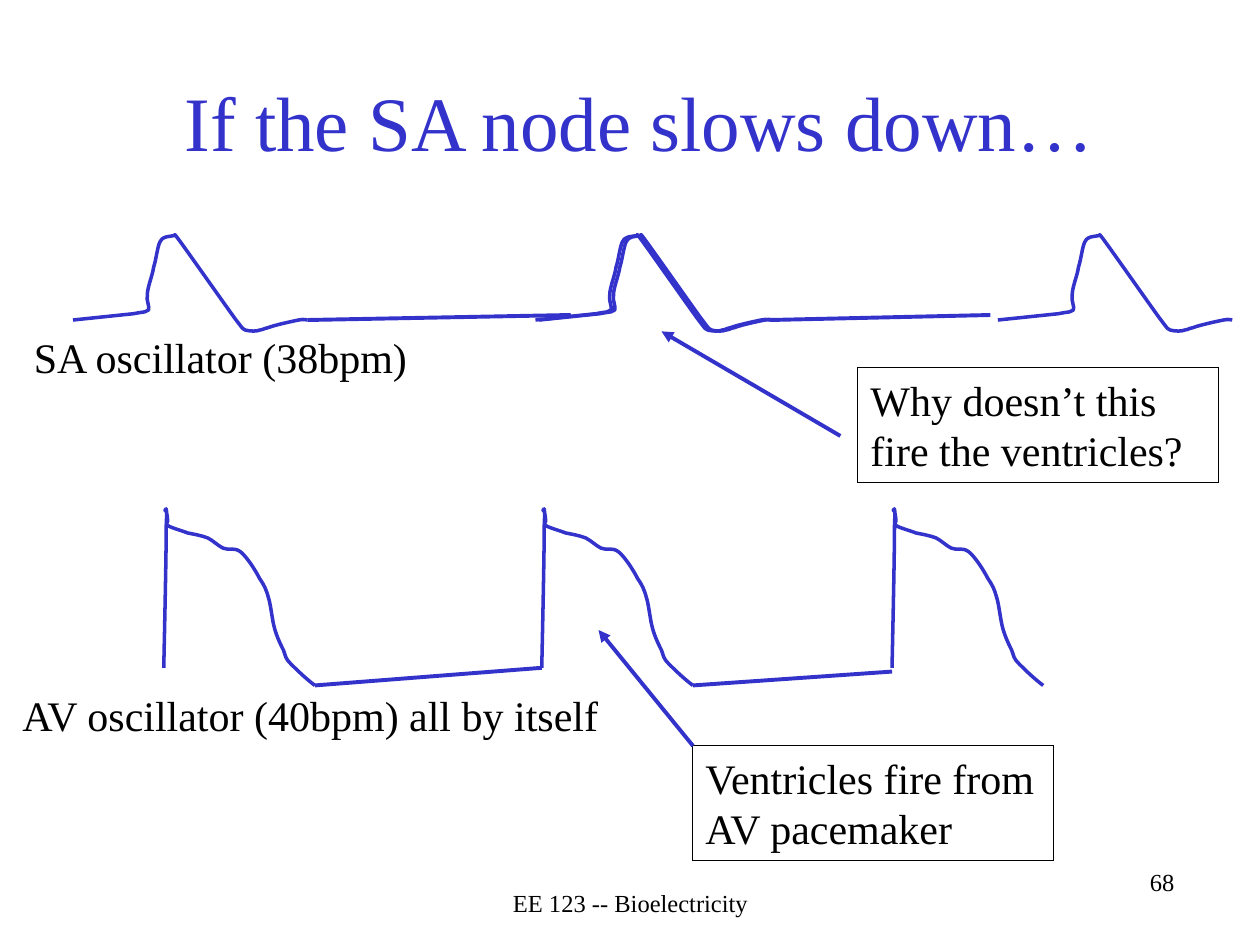
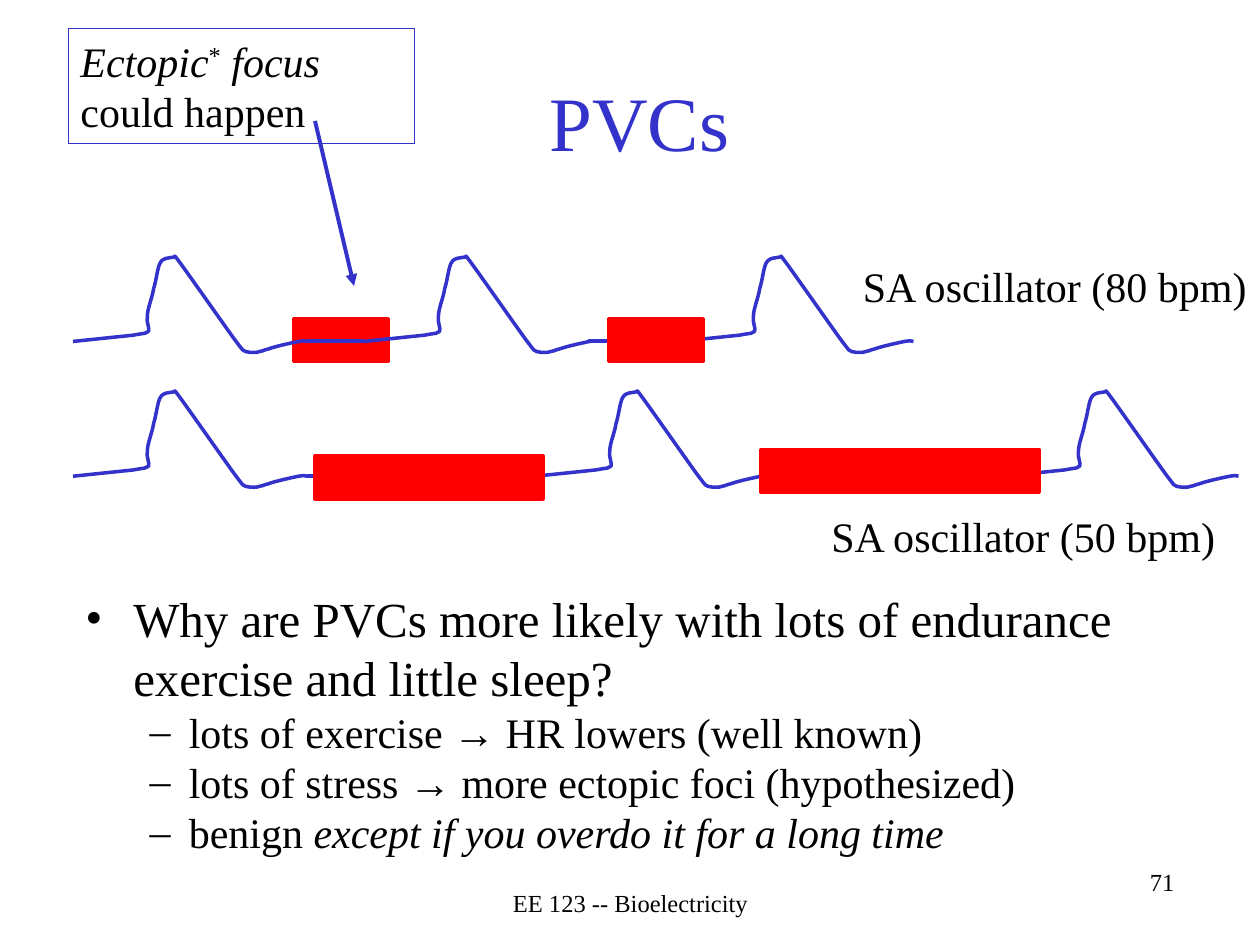
from dataclasses import dataclass

from lxml.etree import SubElement
from pptx import Presentation
from pptx.dml.color import RGBColor
from pptx.enum.shapes import MSO_CONNECTOR as Connector, MSO_SHAPE as Shape
from pptx.enum.text import MSO_ANCHOR as Anchor, MSO_AUTO_SIZE as AutoSize, PP_ALIGN as Align
from pptx.oxml.ns import qn
from pptx.util import Inches, Pt


@dataclass(frozen=True)
class Theme:
    font: str = "Times New Roman"
    ink: RGBColor = RGBColor(0x00, 0x00, 0x00)
    blue: RGBColor = RGBColor(0x33, 0x33, 0xCC)
    red: RGBColor = RGBColor(0xFF, 0x00, 0x00)
    title: int = 44
    body: int = 28
    label: int = 24
    footer: int = 14
    trace: float = 2
    line: float = 2.25


THEME = Theme()

# Segments in inches from the start of the beat: one point is a straight
# line, three points are a curve (control, control, end)
SA_BEAT = [
    ((0.48, -0.05),),
    ((0.58, -0.07), (0.58, -0.06), (0.60, -0.08)),
    ((0.61, -0.11), (0.58, -0.15), (0.59, -0.20)),
    ((0.59, -0.26), (0.63, -0.35), (0.64, -0.42)),
    ((0.66, -0.48), (0.67, -0.58), (0.69, -0.62)),
    ((0.71, -0.66), (0.73, -0.65), (0.74, -0.66)),
    ((0.76, -0.66), (0.78, -0.67), (0.80, -0.67)),
    ((0.82, -0.66), (0.78, -0.72), (0.86, -0.61)),
    ((0.94, -0.50), (1.20, -0.13), (1.28, -0.02)),
    ((1.37, 0.10), (1.34, 0.06), (1.37, 0.08)),
    ((1.41, 0.09), (1.46, 0.09), (1.48, 0.08)),
    ((1.51, 0.08), (1.50, 0.07), (1.55, 0.06)),
    ((1.60, 0.04), (1.74, 0.01), (1.79, 0)),
    ((1.84, -0.01), (1.85, 0), (1.86, 0)),
]
AV_BEAT = [
    ((0.01, -0.46), (0.02, -0.92), (0.02, -1.13)),
    ((0.03, -1.33), (0.01, -1.24), (0.01, -1.25)),
    ((0.02, -1.26), (0.03, -1.20), (0.03, -1.18)),
    ((0.04, -1.16), (0.01, -1.14), (0.03, -1.13)),
    ((0.06, -1.11), (0.14, -1.09), (0.19, -1.07)),
    ((0.24, -1.06), (0.30, -1.05), (0.35, -1.03)),
    ((0.39, -1.01), (0.43, -0.97), (0.47, -0.95)),
    ((0.51, -0.93), (0.56, -0.96), (0.61, -0.92)),
    ((0.66, -0.88), (0.73, -0.77), (0.76, -0.71)),
    ((0.80, -0.65), (0.81, -0.63), (0.83, -0.56)),
    ((0.85, -0.50), (0.86, -0.38), (0.88, -0.31)),
    ((0.90, -0.24), (0.93, -0.18), (0.95, -0.14)),
    ((0.97, -0.09), (0.96, -0.08), (1.01, -0.03)),
    ((1.05, 0.01), (1.12, 0.08), (1.20, 0.14)),
]


# Text
def add_run(paragraph, text, size, color=THEME.ink, italic=False, raised=False):
    run = paragraph.add_run()
    run.text = text
    font = run.font
    font.name, font.size, font.italic = THEME.font, Pt(size), italic
    font.color.rgb = color
    if raised:
        run._r.get_or_add_rPr().set("baseline", "30000")


def add_text(slide, box, text, size, color=THEME.ink, align=Align.LEFT,
             anchor=Anchor.TOP, wrap=True):
    frame = slide.shapes.add_textbox(*map(Inches, box)).text_frame
    frame.word_wrap, frame.vertical_anchor = wrap, anchor
    frame.paragraphs[0].alignment = align
    add_run(frame.paragraphs[0], text, size, color)


def add_label(slide, box, text):
    add_text(slide, box, text, THEME.label, wrap=False)


def add_callout(slide, box, outline, lines):
    """Note with a hairline outline; a line is a list of (text, run options)."""
    note = slide.shapes.add_textbox(*map(Inches, box))
    note.line.color.rgb = outline
    frame = note.text_frame
    frame.word_wrap, frame.auto_size = True, AutoSize.SHAPE_TO_FIT_TEXT
    for index, runs in enumerate(lines):
        paragraph = frame.add_paragraph() if index else frame.paragraphs[0]
        for text, options in runs:
            add_run(paragraph, text, THEME.label, **options)


def add_bullets(slide, box, items):
    """Every item is (level, list of (text, italic))."""
    styles = [("•", 0.38, 0.38, THEME.body), ("–", 0.82, 0.31, THEME.label)]
    frame = slide.shapes.add_textbox(*map(Inches, box)).text_frame
    frame.word_wrap = True
    for index, (level, runs) in enumerate(items):
        mark, margin, hanging, size = styles[level]
        paragraph = frame.add_paragraph() if index else frame.paragraphs[0]
        paragraph.level = level
        properties = paragraph._p.get_or_add_pPr()
        properties.set("marL", str(Inches(margin)))
        properties.set("indent", str(-Inches(hanging)))
        SubElement(properties, qn("a:buFont")).set("typeface", THEME.font)
        SubElement(properties, qn("a:buChar")).set("char", mark)
        paragraph.font.name, paragraph.font.size = THEME.font, Pt(size)
        for text, italic in runs:
            add_run(paragraph, text, size, italic=italic)


# Shapes and lines
def add_ectopic_window(slide, left, top, width):
    window = slide.shapes.add_shape(
        Shape.RECTANGLE, *map(Inches, (left, top, width, 0.34)))
    window.shadow.inherit = False
    window.fill.solid()
    window.fill.fore_color.rgb = window.line.color.rgb = THEME.red
    window.line.width = Pt(THEME.trace)


def add_line(slide, start, end, arrow=False):
    line = slide.shapes.add_connector(
        Connector.STRAIGHT, *map(Inches, (*start, *end)))
    line.line.color.rgb, line.line.width = THEME.blue, Pt(THEME.line)
    if arrow:
        SubElement(line.line._get_or_add_ln(), qn("a:tailEnd")).set("type", "triangle")
    SubElement(line._element.spPr, qn("a:effectLst"))


def bend_segments(outline, segments, origin):
    """Turn the straight segments that have control points into curves."""
    for straight, points in zip(list(outline.iter(qn("a:lnTo"))), segments):
        if len(points) == 1:
            continue
        straight.addnext(curve := SubElement(straight.getparent(), qn("a:cubicBezTo")))
        for x, y in points[:2]:
            control = SubElement(curve, qn("a:pt"))
            control.set("x", str(Inches(x) + origin[0]))
            control.set("y", str(Inches(y) + origin[1]))
        curve.append(straight[0])
        straight.getparent().remove(straight)


def add_beats(slide, segments, starts, baseline):
    for left in starts:
        builder = slide.shapes.build_freeform(Inches(left), Inches(baseline))
        builder.add_line_segments(
            [(Inches(left + x), Inches(baseline + y))
             for x, y in (points[-1] for points in segments)], close=False)
        beat = builder.convert_to_shape()
        bend_segments(beat._element, segments,
                      (Inches(left) - beat.left, Inches(baseline) - beat.top))
        beat.shadow.inherit = False
        beat.fill.background()
        beat.line.color.rgb, beat.line.width = THEME.blue, Pt(THEME.trace)


# Shared slide frame
def start_slide(deck, title, number):
    slide = deck.slides.add_slide(deck.slide_layouts[6])
    add_text(slide, (6.25, 6.83, 3.17, 0.5), number, THEME.footer, align=Align.RIGHT)
    add_text(slide, (0.75, 0.33, 8.65, 1.25), title, THEME.title, THEME.blue,
             Align.CENTER, Anchor.MIDDLE)
    add_text(slide, (3.42, 7, 3.17, 0.33), "EE 123 -- Bioelectricity",
             THEME.footer, align=Align.CENTER)
    return slide


def build_slow_node(deck):
    slide = start_slide(deck, "If the SA node slows down…", "68")

    # SA trace
    add_beats(slide, SA_BEAT, (0.58, 4.25, 4.28, 7.92), 2.54)
    add_line(slide, (2.44, 2.54), (4.53, 2.5))
    add_line(slide, (6.11, 2.54), (7.86, 2.5))
    add_label(slide, (0.17, 2.58, 4, 0.5), "SA oscillator (38bpm)")

    # AV trace
    add_beats(slide, AV_BEAT, (1.3, 4.3, 7.08), 5.3)
    add_line(slide, (2.5, 5.44), (4.3, 5.3))
    add_line(slide, (5.5, 5.44), (7.08, 5.33))
    add_label(slide, (0.08, 5.42, 4.97, 0.5), "AV oscillator (40bpm) all by itself")

    # Notes
    add_callout(slide, (5.5, 5.92, 2.86, 0.91), THEME.ink,
                [[("Ventricles fire from AV pacemaker", {})]])
    add_line(slide, (5.5, 5.92), (4.75, 5), arrow=True)
    add_callout(slide, (6.81, 2.92, 2.86, 0.91), THEME.ink,
                [[("Why doesn’t this fire the ventricles?", {})]])
    add_line(slide, (6.67, 3.46), (5.25, 2.63), arrow=True)


def build_pvcs(deck):
    slide = start_slide(deck, "PVCs", "71")

    # Fast trace
    add_ectopic_window(slide, 2.33, 2.53, 0.75)
    add_beats(slide, SA_BEAT, (0.58, 2.89, 5.39), 2.71)
    add_line(slide, (2.44, 2.71), (2.89, 2.71))
    add_line(slide, (4.67, 2.71), (5.39, 2.71))
    add_ectopic_window(slide, 4.83, 2.53, 0.75)
    add_label(slide, (6.75, 2.02, 3.25, 0.5), "SA oscillator (80 bpm)")

    # Slow trace
    add_beats(slide, SA_BEAT, (0.58, 4.25, 7.97), 3.78)
    add_line(slide, (2.44, 3.78), (4.25, 3.78))
    add_line(slide, (6.04, 3.78), (7.97, 3.78))
    add_ectopic_window(slide, 2.5, 3.62, 1.81)
    add_ectopic_window(slide, 6.04, 3.57, 2.21)
    add_label(slide, (6.5, 4, 3.25, 0.5), "SA oscillator (50 bpm)")

    # Note
    add_callout(slide, (0.54, 0.23, 2.75, 0.91), THEME.blue, [
        [("Ectopic", {"italic": True}), ("*", {"raised": True}),
         (" focus", {"italic": True})],
        [("could happen", {})],
    ])
    add_line(slide, (2.5, 0.96), (2.81, 2.27), arrow=True)

    # Discussion
    add_bullets(slide, (0.58, 4.62, 9.17, 2.29), [
        (0, [("Why are PVCs more likely with lots of endurance exercise "
              "and little sleep?", False)]),
        (1, [("lots of exercise → HR lowers (well known)", False)]),
        (1, [("lots of stress → more ectopic foci (hypothesized)", False)]),
        (1, [("benign ", False), ("except if you overdo it for a long time", True)]),
    ])


def main():
    deck = Presentation()
    deck.slide_width, deck.slide_height = Inches(10), Inches(7.5)
    build_slow_node(deck)
    build_pvcs(deck)
    deck.save("out.pptx")


if __name__ == "__main__":
    main()
